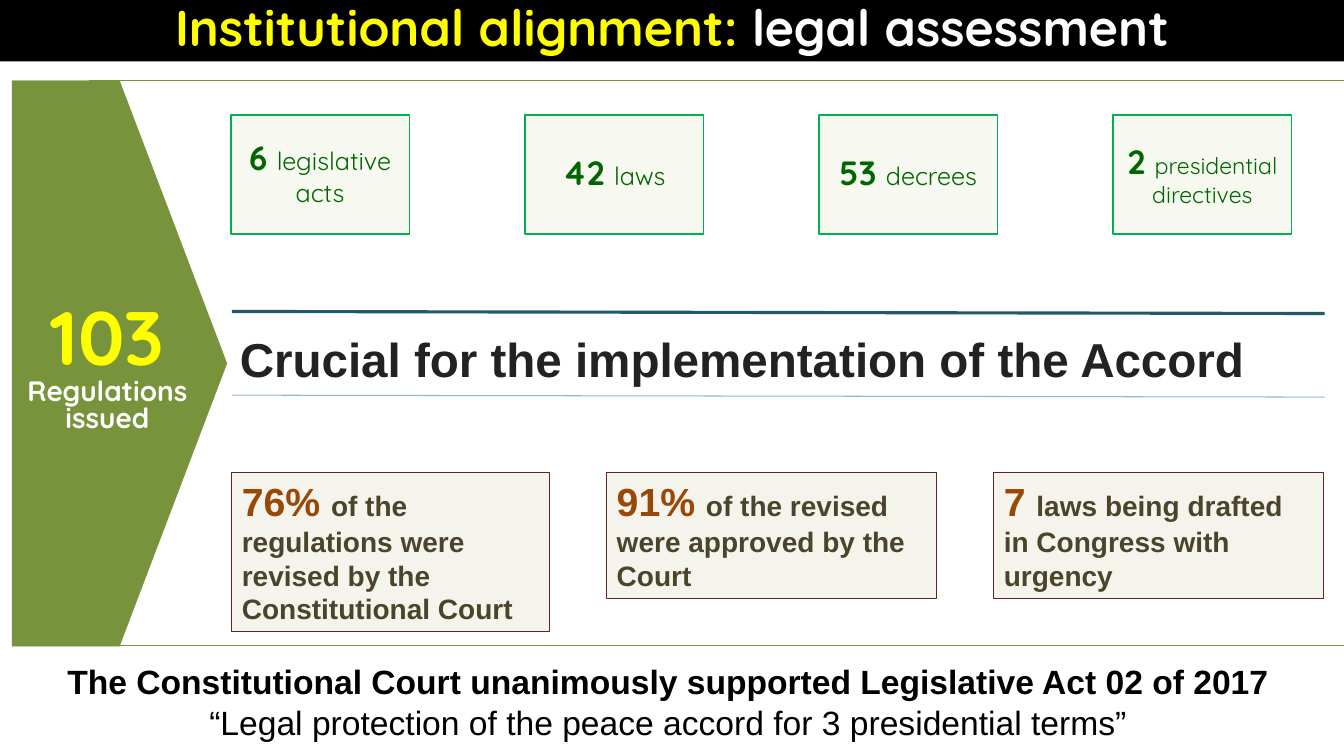
from dataclasses import dataclass

from lxml import etree
from pptx import Presentation
from pptx import util as u
from pptx.dml.color import RGBColor
from pptx.enum import shapes, text
from pptx.oxml.ns import qn

SLIDE_WIDTH, SLIDE_HEIGHT = u.Inches(13.33), u.Inches(7.5)
COLUMN, ROW = SLIDE_WIDTH / 100, SLIDE_HEIGHT / 100  # 100 x 100 grid
COLORS = {
    "black": "000000", "white": "FFFFFF", "yellow": "FFFF00",
    "olive": "77933C", "mint": "EBF1DE", "green": "00B050", "forest": "006600",
    "teal": "215968", "sky": "95B3D7", "ink": "222222",
    "sand": "DDD9C3", "maroon": "632523", "rust": "984807", "earth": "4A452A",
}
ROUNDED, PLAIN = "Quicksand", "Arial"
CENTER, LEFT = text.PP_ALIGN.CENTER, text.PP_ALIGN.LEFT
MIDDLE, TOP = text.MSO_ANCHOR.MIDDLE, text.MSO_ANCHOR.TOP
RECTANGLE = shapes.MSO_SHAPE.RECTANGLE


@dataclass(frozen=True)
class Area:
    """A place on the grid, in columns and rows."""
    left: float
    top: float
    width: float
    height: float

    def lengths(self) -> list[int]:
        """Give left, top, width and height in slide units."""
        return [round(self.left * COLUMN), round(self.top * ROW),
                round(self.width * COLUMN), round(self.height * ROW)]


@dataclass(frozen=True)
class Span:
    """A stretch of text in one format."""
    words: str
    size: float
    color: str
    bold: bool = True


@dataclass(frozen=True)
class Rule:
    """A straight line between two grid points."""
    start: tuple[float, float]
    end: tuple[float, float]
    color: str
    weight: float


@dataclass(frozen=True)
class Count:
    """A number of legal instruments and their kind, line by line."""
    number: str
    kinds: list[str]
    size: float = 18
    insets: tuple = (0.04, 0, 0.04, 0.04)


@dataclass(frozen=True)
class Finding:
    """A key figure with its explanation."""
    area: Area
    figure: str
    words: str


def rgb(name: str) -> RGBColor:
    """Look up a colour by name."""
    return RGBColor.from_string(COLORS[name])


def write(box, paragraphs: list[list[Span]], *, font=PLAIN, align=LEFT, anchor=TOP,
          insets=(0.1, 0.05, 0.1, 0.05), spacing=None, grow=False) -> None:
    """Fill a box with paragraphs of formatted spans."""
    frame = box.text_frame
    frame.word_wrap = True
    frame.auto_size = (text.MSO_AUTO_SIZE.SHAPE_TO_FIT_TEXT if grow
                       else text.MSO_AUTO_SIZE.NONE)
    frame.vertical_anchor = anchor
    (frame.margin_left, frame.margin_top,
     frame.margin_right, frame.margin_bottom) = map(u.Inches, insets)
    for index, spans in enumerate(paragraphs):
        para = frame.add_paragraph() if index else frame.paragraphs[0]
        para.alignment = align
        if spacing:
            para.line_spacing = spacing
        for span in spans:
            run = para.add_run()
            run.text = span.words
            run.font.name, run.font.size = font, u.Pt(span.size)
            run.font.bold = span.bold
            run.font.color.rgb = rgb(span.color)


def add_box(page, area: Area, fill: str, line: str | None = None, weight: float = 1,
            opacity: int = 100, kind=RECTANGLE):
    """Add a filled preset shape without a shadow."""
    box = page.shapes.add_shape(kind, *area.lengths())
    box.shadow.inherit = False
    box.fill.solid()
    box.fill.fore_color.rgb = rgb(fill)
    if opacity < 100:
        color = box.fill._xPr.find(f"{qn('a:solidFill')}/{qn('a:srgbClr')}")
        etree.SubElement(color, qn("a:alpha"), val=str(opacity * 1000))
    if line:
        box.line.color.rgb = rgb(line)
        box.line.width = u.Pt(weight)
    else:
        box.line.fill.background()
    return box


def add_rule(page, rule: Rule) -> None:
    """Draw a straight line without a shadow."""
    (x1, y1), (x2, y2) = rule.start, rule.end
    connector = page.shapes.add_connector(
        shapes.MSO_CONNECTOR.STRAIGHT, round(x1 * COLUMN), round(y1 * ROW),
        round(x2 * COLUMN), round(y2 * ROW))
    connector.line.color.rgb = rgb(rule.color)
    connector.line.width = u.Pt(rule.weight)
    etree.SubElement(connector._element.spPr, qn("a:effectLst"))


def add_count(page, count: Count, position: int) -> None:
    """Add one card of the top row."""
    area = Area(17.18 + position * 21.88, 15.2, 13.28, 15.73)
    first, *others = [Span(kind, count.size, "forest", False) for kind in count.kinds]
    box = add_box(page, area, "mint", "green", 1, opacity=40)
    write(box, [[Span(count.number + " ", 24, "forest"), first],
                *[[other] for other in others]],
          font=ROUNDED, align=CENTER, anchor=MIDDLE, insets=count.insets)


def add_finding(page, finding: Finding) -> None:
    """Add one card of the bottom row."""
    box = add_box(page, finding.area, "sand", "maroon", 0.75, opacity=30)
    write(box, [[Span(finding.figure + " ", 28, "rust"),
                 Span(finding.words, 20, "earth")]], grow=True)


COUNTS = [
    Count("6", ["legislative", "acts"]),
    Count("42", ["laws"]),
    Count("53", ["decrees"]),
    Count("2", ["presidential directives"], 16.5, (0, 0, 0, 0)),
]
FINDINGS = [
    Finding(Area(17.25, 62.53, 23.63, 21.07), "76%",
            "of the regulations were revised by the Constitutional Court"),
    Finding(Area(45.15, 62.53, 24.53, 16.67), "91%",
            "of the revised were approved by the Court"),
    Finding(Area(73.95, 62.53, 24.53, 16.67), "7",
            "laws being drafted in Congress with urgency"),
]
RULES = [
    Rule((6.6, 10.67), (100, 10.67), "olive", 0.25),
    Rule((3.15, 85.4), (100, 85.4), "olive", 0.25),
    Rule((17.25, 41.2), (98.55, 41.47), "teal", 2.25),
    Rule((17.25, 52.27), (98.55, 52.53), "sky", 0.75),
]

deck = Presentation()
deck.slide_width, deck.slide_height = SLIDE_WIDTH, SLIDE_HEIGHT
page = deck.slides.add_slide(deck.slide_layouts[6])

title = add_box(page, Area(0, 0, 100, 8.13), "black")
write(title, [[Span("Institutional alignment: ", 36, "yellow"),
               Span("legal assessment", 36, "white")]],
      font=ROUNDED, align=CENTER, anchor=MIDDLE, insets=(0.04, 0, 0.04, 0.08))

for rule in RULES:
    add_rule(page, rule)
add_box(page, Area(0.9, 10.67, 15.98, 74.8), "olive", "olive", 0.25,
        kind=shapes.MSO_SHAPE.PENTAGON)
total = page.shapes.add_textbox(*Area(1.28, 40.13, 13.43, 15.87).lengths())
write(total, [[Span("103", 54, "yellow")], [Span("Regulations issued", 20, "white")]],
      font=ROUNDED, align=CENTER, insets=(0.04,) * 4, spacing=0.8)

for position, count in enumerate(COUNTS):
    add_count(page, count, position)
for finding in FINDINGS:
    add_finding(page, finding)

headline = page.shapes.add_textbox(*Area(17.1, 42.93, 81.4, 8.93).lengths())
write(headline, [[Span("Crucial for the implementation of the Accord", 34, "ink")]],
      grow=True)
footer = page.shapes.add_textbox(*Area(0.9, 86.93, 97.6, 12.4).lengths())
write(footer, [
    [Span("The Constitutional Court unanimously supported Legislative Act 02 of 2017",
          24, "black")],
    [Span("“Legal protection of the peace accord for 3 presidential terms”",
          24, "black", False)],
], align=CENTER, insets=(0.04, 0.04, 0.04, 0.08), grow=True)

deck.save("out.pptx")
